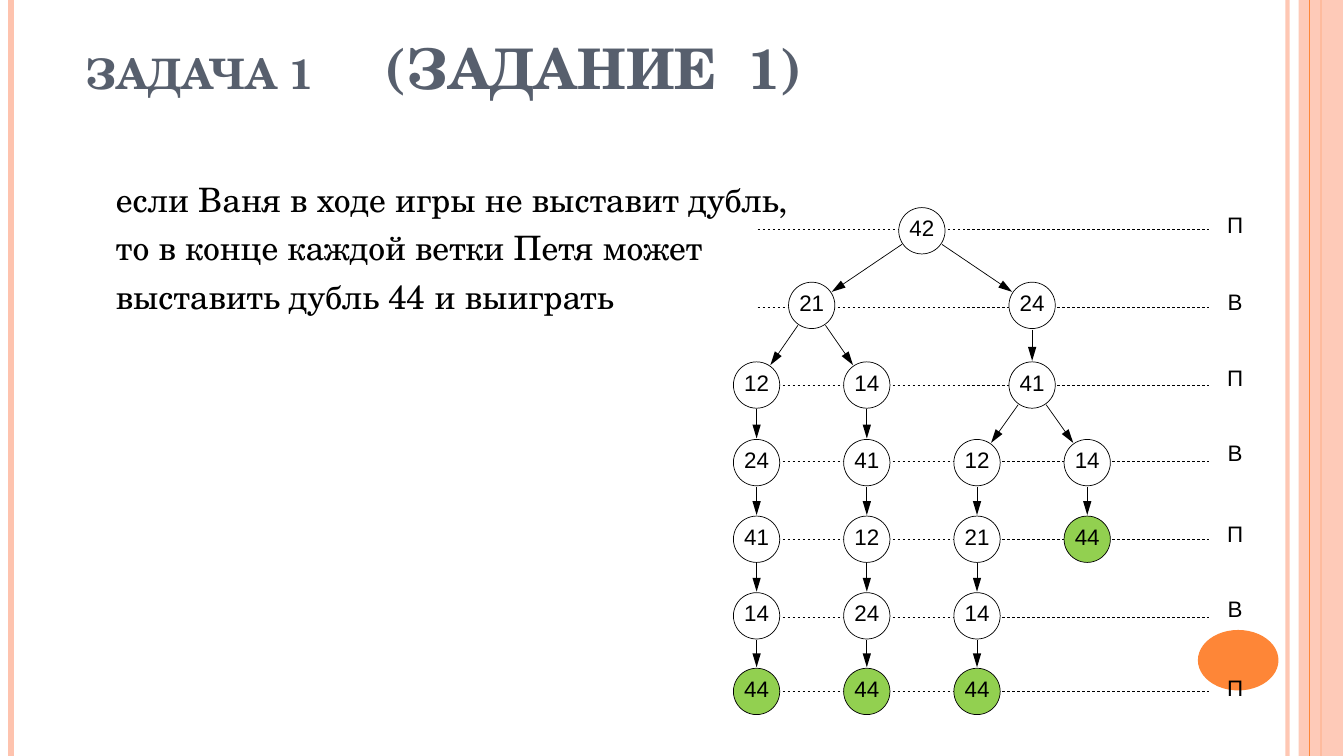
from math import hypot

from lxml.etree import SubElement
from pptx import Presentation
from pptx.dml.color import RGBColor
from pptx.enum.dml import MSO_LINE
from pptx.enum.shapes import MSO_CONNECTOR, MSO_SHAPE
from pptx.enum.text import MSO_ANCHOR, MSO_AUTO_SIZE, PP_ALIGN
from pptx.oxml.ns import qn
from pptx.util import Pt

TITLE = (("ЗАДАЧА 1\t", 30), ("(ЗАДАНИЕ\t1)", 40))
TITLE_TABS = (297, 658)
BODY = (
    "если Ваня в ходе игры не выставит дубль,",
    "то в конце каждой ветки Петя может",
    "выставить дубль 44 и выиграть",
)
BRANCHES = (
    ("42", "21", "12", "24", "41", "14", "44"),
    ("42", "21", "14", "41", "12", "24", "44"),
    ("42", "24", "41", "12", "21", "14", "44"),
    ("42", "24", "41", "14", "44"),
)
MOVES = (
    ("П", 228, 206, 205),
    ("В", 305, 280, 281),
    ("П", 382, 359, 356),
    ("В", 458, 436, 431),
    ("П", 535, 512, 511),
    ("В", 612, 588, 586),
    ("П", 686, 663, 664),
)
WINNING_TILE = "44"

BLACK = RGBColor(0x00, 0x00, 0x00)
WHITE = RGBColor(0xFF, 0xFF, 0xFF)
GREEN = RGBColor(0x92, 0xD0, 0x50)
ORANGE = RGBColor(0xFE, 0x86, 0x37)
PEACH = RGBColor(0xFE, 0xC3, 0xAE)
SLATE = RGBColor(0x57, 0x5F, 0x6D)

HEADING_FONT = "TeX Gyre Schola"
TREE_FONT = "Arial"
SLIDE_WIDTH, SLIDE_HEIGHT = 1334, 750
TREE_LEFT, COLUMN_STEP, NODE_SIZE = 728, 109.4, 46


def px(length):
    return round(length * 9144)


def set_values(target, values):
    for name, value in values.items():
        setattr(target, name, value)


def set_font(font, name, size, color, bold=False):
    set_values(font, {"name": name, "size": Pt(size), "bold": bold})
    font.color.rgb = color


def place(shape, left, top, width, height):
    set_values(shape, {"left": px(left), "top": px(top), "width": px(width), "height": px(height)})


def set_alpha(parent, percent):
    color = next(parent.iter(qn("a:srgbClr")))
    SubElement(color, qn("a:alpha"), val=str(percent * 1000))


def add_line(slide, x1, y1, x2, y2, color=BLACK, width=0.5, dash=None, arrow=False):
    connector = slide.shapes.add_connector(MSO_CONNECTOR.STRAIGHT, px(x1), px(y1), px(x2), px(y2))
    connector.line.color.rgb = color
    set_values(connector.line, {"width": Pt(width), "dash_style": dash})
    if arrow:
        SubElement(connector.line._get_or_add_ln(), qn("a:tailEnd"), type="triangle", w="med", len="lg")
    SubElement(connector._element.spPr, qn("a:effectLst"))
    return connector


def add_filled(slide, kind, left, top, width, height, color):
    shape = slide.shapes.add_shape(kind, px(left), px(top), px(width), px(height))
    shape.shadow.inherit = False
    shape.fill.solid()
    shape.fill.fore_color.rgb = color
    shape.line.fill.background()
    return shape


def write_label(shape, text, margin_top):
    set_values(shape.text_frame, {
        "margin_left": 0, "margin_right": 0, "margin_top": px(margin_top), "margin_bottom": 0,
        "vertical_anchor": MSO_ANCHOR.TOP, "word_wrap": True,
    })
    paragraph = shape.text_frame.paragraphs[0]
    set_values(paragraph, {"text": text, "alignment": PP_ALIGN.CENTER})
    set_font(paragraph.font, TREE_FONT, 16, BLACK)


def add_decoration(slide):
    inner_line = add_line(slide, 1278, 0, 1278, SLIDE_HEIGHT, PEACH, 3)
    set_alpha(inner_line._element.spPr, 93)
    add_line(slide, 11, 0, 11, SLIDE_HEIGHT, PEACH, 4.5)
    add_line(slide, 1311, 0, 1311, SLIDE_HEIGHT, ORANGE, 1.5)
    band = add_filled(slide, MSO_SHAPE.RECTANGLE, 1289, 0, 44, SLIDE_HEIGHT, PEACH)
    set_alpha(band._element.spPr, 87)
    add_line(slide, 1300, 0, 1300, SLIDE_HEIGHT, ORANGE, 0.75)
    add_filled(slide, MSO_SHAPE.OVAL, 1189, 625, 80, 60, ORANGE)


def fill_title(title):
    place(title, 75, -20, 1089, 125)
    set_values(title.text_frame, {"vertical_anchor": MSO_ANCHOR.BOTTOM, "auto_size": MSO_AUTO_SIZE.NONE})
    paragraph = title.text_frame.paragraphs[0]
    paragraph.alignment = PP_ALIGN.LEFT
    tabs = SubElement(paragraph._p.get_or_add_pPr(), qn("a:tabLst"))
    for position in TITLE_TABS:
        SubElement(tabs, qn("a:tab"), pos=str(px(position)), algn="l")
    for text, size in TITLE:
        run = paragraph.add_run()
        run.text = text
        set_font(run.font, HEADING_FONT, size, SLATE, True)


def fill_body(body):
    place(body, 105, 172, 1188, 547)
    frame = body.text_frame
    frame.auto_size = MSO_AUTO_SIZE.NONE
    frame.text = "\n".join(BODY)
    for index, paragraph in enumerate(frame.paragraphs):
        paragraph.space_before = Pt(6 if index else 0)
        properties = paragraph._p.get_or_add_pPr()
        properties.set("marL", "0")
        properties.set("indent", "0")
        SubElement(properties, qn("a:buNone"))
        set_font(paragraph.font, HEADING_FONT, 24, BLACK)


def add_moves(slide):
    for player, line_y, _, label_top in MOVES:
        add_line(slide, 752, line_y, 1200, line_y, dash=MSO_LINE.DASH)
        label = slide.shapes.add_textbox(px(1204), px(label_top), px(44), px(46))
        write_label(label, player, 5)


def add_tree(slide):
    columns = {}
    for column, branch in enumerate(BRANCHES):
        for length in range(1, len(branch) + 1):
            columns.setdefault(branch[:length], []).append(column)

    radius = NODE_SIZE / 2
    centers = {}
    for position, leaves in columns.items():
        left = TREE_LEFT + COLUMN_STEP * sum(leaves) / len(leaves)
        top = MOVES[len(position) - 1][2]
        color = GREEN if position[-1] == WINNING_TILE else WHITE
        node = add_filled(slide, MSO_SHAPE.OVAL, left, top, NODE_SIZE, NODE_SIZE, color)
        node.line.color.rgb = BLACK
        node.line.width = Pt(0.5)
        write_label(node, position[-1], 0)
        centers[position] = (left + radius, top + radius)

    for position, (x2, y2) in centers.items():
        if len(position) > 1:
            x1, y1 = centers[position[:-1]]
            ratio = (radius + 1) / hypot(x2 - x1, y2 - y1)
            dx, dy = (x2 - x1) * ratio, (y2 - y1) * ratio
            add_line(slide, x1 + dx, y1 + dy, x2 - dx, y2 - dy, arrow=True)


def main():
    presentation = Presentation()
    set_values(presentation, {"slide_width": px(SLIDE_WIDTH), "slide_height": px(SLIDE_HEIGHT)})
    slide = presentation.slides.add_slide(presentation.slide_layouts[1])
    add_decoration(slide)
    fill_title(slide.shapes.title)
    fill_body(slide.placeholders[1])
    add_moves(slide)
    add_tree(slide)
    presentation.save("out.pptx")


if __name__ == "__main__":
    main()
